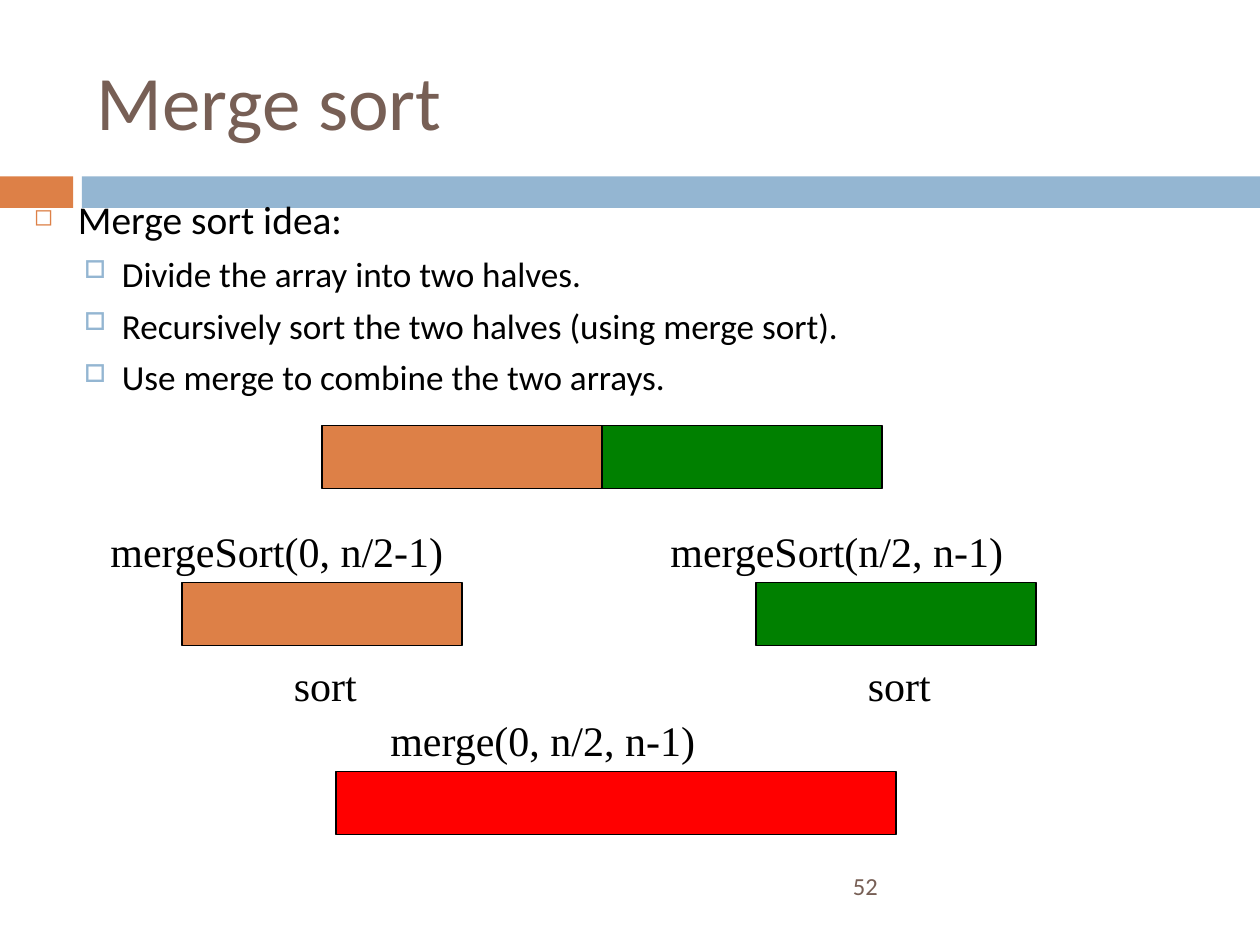
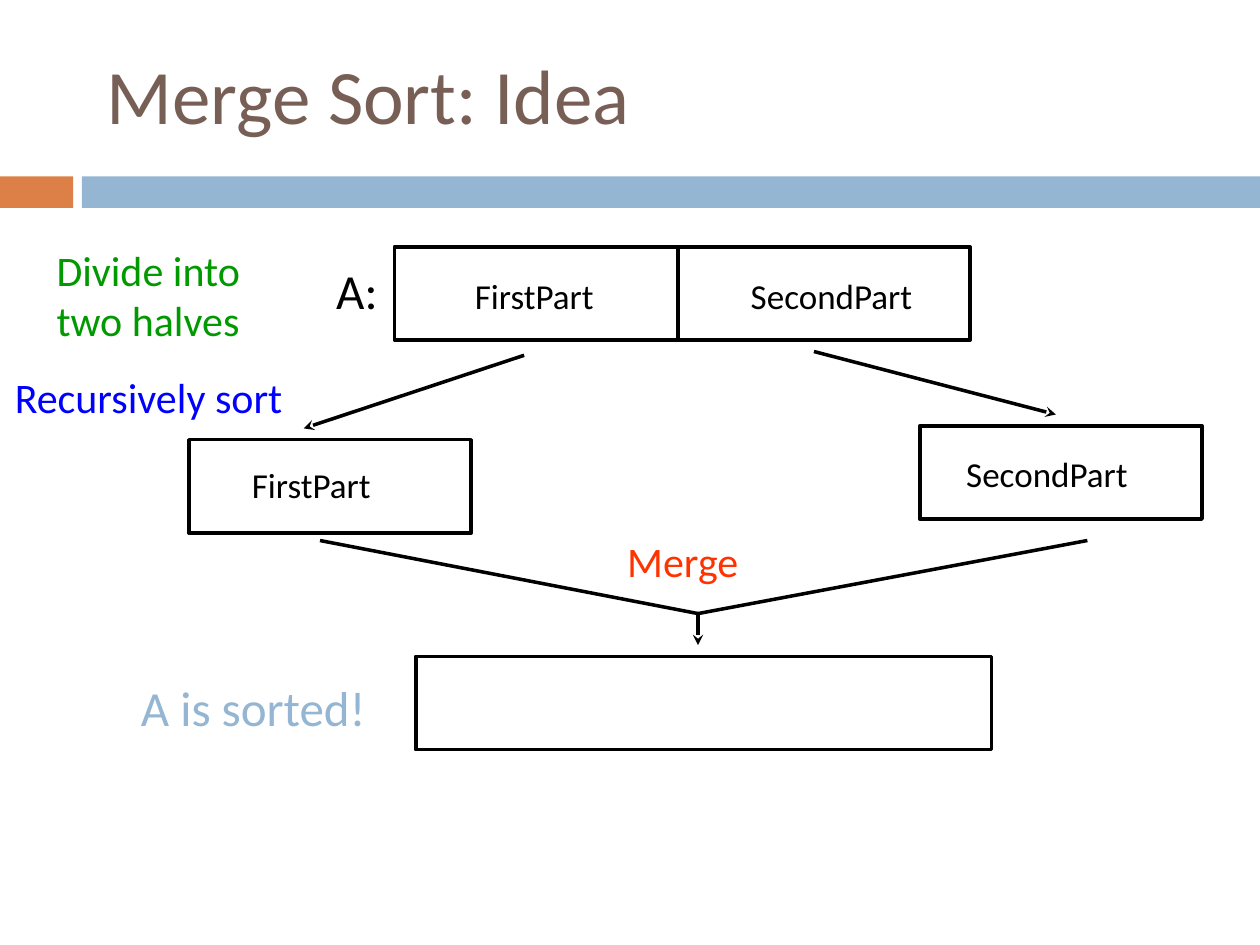
from dataclasses import dataclass
from lxml.etree import SubElement
from pptx import Presentation
from pptx.dml.color import RGBColor
from pptx.enum.shapes import MSO_CONNECTOR as Connector, MSO_SHAPE as Shape
from pptx.enum.text import MSO_ANCHOR as Anchor, MSO_AUTO_SIZE as AutoSize, PP_ALIGN as Align
from pptx.oxml.ns import qn
from pptx.util import Inches, Pt

WIDTH, HEIGHT = Inches(10), Inches(7.5)


@dataclass(frozen=True)
class Theme:
    sans: str = "Calibri"
    serif: str = "Times New Roman"
    ink: str = "000000"
    title: str = "775F55"
    orange: str = "DD8047"
    blue: str = "94B6D2"
    green: str = "008000"
    red: str = "FF0000"
    divide: str = "009900"
    recurse: str = "0000FF"
    merge: str = "FF3300"
    title_size: float = 44
    big_size: float = 28
    label_size: float = 24
    part_size: float = 20
    number_size: float = 14
    thin: float = 0.75
    thick: float = 2


@dataclass(frozen=True)
class Level:
    size: float
    left: float
    hang: float
    before: float
    mark: str
    color: str
    percent: int


THEME = Theme()
LEVELS = [
    Level(22.5, 0.35, 0.35, 7, "◻", THEME.orange, 60),
    Level(20.1, 0.7, 0.3, 5.5, "□", THEME.blue, 70),
]

INCH_GRID = (10, 7.5)
CODE_GRID = (90, 60)
IDEA_GRID = (100, 75)

BANDS = [((0, 1.4, 0.58, 0.25), THEME.orange), ((0.65, 1.4, 9.35, 0.25), THEME.blue)]

OUTLINE = [
    (0, "Merge sort idea:"),
    (1, "Divide the array into two halves."),
    (1, "Recursively sort the two halves (using merge sort)."),
    (1, "Use merge to combine the two arrays."),
]

HALF, BAR = 20, 4
CODE_BARS = [
    (23, 27, HALF, THEME.orange),
    (23 + HALF, 27, HALF, THEME.green),
    (13, 37, HALF, THEME.orange),
    (54, 37, HALF, THEME.green),
    (24, 49, 2 * HALF, THEME.red),
]
CODE_LABELS = [
    ("mergeSort(0, n/2-1)", 7, 33, 25.65),
    ("mergeSort(n/2, n-1)", 47, 33, 25.65),
    ("sort", 20.1, 41.5, 6.3),
    ("sort", 61.1, 41.5, 6.3),
    ("merge(0, n/2, n-1)", 27, 45, 23.6),
]

WHOLE, PART, CELL = 45.7, 22.4, 7.4
IDEA_BOXES = [(31.3, 19.6, WHOLE), (15, 34.9, PART), (73, 33.8, PART), (33, 52.1, WHOLE)]
JOIN = (55.4, 48.7)
IDEA_LINES = [
    ((53.8, 19.5), (53.8, 27), False),
    ((41.6, 28.2), (24.1, 34), True),
    ((64.6, 27.9), (83.8, 32.9), True),
    ((25.4, 42.9), JOIN, False),
    ((86.3, 42.9), JOIN, False),
    (JOIN, (55.4, 51.2), True),
]
IDEA_LABELS = [
    (["Divide into", "two halves"], (3.5, 18.9, 18.8, 9), THEME.label_size, THEME.divide),
    (["A:"], (25.7, 20.2, 5.5, 5.7), THEME.big_size, THEME.ink),
    (["FirstPart"], (36.7, 21.3, 13, 4.4), THEME.part_size, THEME.ink),
    (["SecondPart"], (58.6, 21.3, 16.9, 4.4), THEME.part_size, THEME.ink),
    (["FirstPart"], (19, 36.3, 13, 4.4), THEME.part_size, THEME.ink),
    (["SecondPart"], (75.7, 35.4, 16.9, 4.4), THEME.part_size, THEME.ink),
    (["Merge"], (48.8, 42, 15, 5), THEME.label_size, THEME.merge),
    (["A is sorted!"], (10.2, 53.3, 22.2, 5.7), THEME.big_size, THEME.blue),
]


def place(grid, lengths):
    units = (WIDTH / grid[0], HEIGHT / grid[1])
    return [round(length * units[index % 2]) for index, length in enumerate(lengths)]


def add_box(page, grid, at, fill=None, line=None):
    box = page.shapes.add_shape(Shape.RECTANGLE, *place(grid, at))
    box.shadow.inherit = False
    if fill:
        box.fill.solid()
        box.fill.fore_color.rgb = RGBColor.from_string(fill)
    else:
        box.fill.background()
    if line:
        box.line.color.rgb = RGBColor.from_string(THEME.ink)
        box.line.width = Pt(line)
    else:
        box.line.fill.background()


def style(para, size, color, font=THEME.sans):
    for span in para.runs:
        span.font.name = font
        span.font.size = Pt(size)
        span.font.color.rgb = RGBColor.from_string(color)


def add_text(page, grid, at, lines, size, color, font=THEME.sans, wrap=True, anchor=Anchor.TOP):
    box = page.shapes.add_textbox(*place(grid, at))
    frame = box.text_frame
    frame.text = "\n".join(lines)
    frame.word_wrap = wrap
    frame.auto_size = AutoSize.NONE if wrap else AutoSize.SHAPE_TO_FIT_TEXT
    frame.vertical_anchor = anchor
    for para in frame.paragraphs:
        style(para, size, color, font)
    return frame


def add_bullet(para, level):
    props = para._p.get_or_add_pPr()
    props.set("marL", str(Inches(level.left)))
    props.set("indent", str(-Inches(level.hang)))
    para.space_before = Pt(level.before)
    color = SubElement(props, qn("a:buClr"))
    SubElement(color, qn("a:srgbClr"), val=level.color)
    SubElement(props, qn("a:buSzPct"), val=str(level.percent * 1000))
    SubElement(props, qn("a:buChar"), char=level.mark)


def add_line(page, grid, start, end, arrow):
    line = page.shapes.add_connector(Connector.STRAIGHT, *place(grid, start + end))
    line.line.color.rgb = RGBColor.from_string(THEME.ink)
    line.line.width = Pt(THEME.thick)
    if arrow:
        SubElement(line.line._get_or_add_ln(), qn("a:tailEnd"), type="stealth")
    SubElement(line._element.spPr, qn("a:effectLst"))


def add_page(deck, title, at):
    page = deck.slides.add_slide(deck.slide_layouts[6])
    for band, color in BANDS:
        add_box(page, INCH_GRID, band, color)
    add_text(page, INCH_GRID, at, [title], THEME.title_size, THEME.title, anchor=Anchor.MIDDLE)
    return page


def build_code_page(deck):
    page = add_page(deck, "Merge sort", (0.67, 0.25, 8.92, 1.08))
    add_text(page, INCH_GRID, (6.67, 6.83, 2.92, 0.4), ["52"],
             THEME.number_size, THEME.title, anchor=Anchor.MIDDLE)
    frame = add_text(page, INCH_GRID, (0.17, 1.5, 9, 1.75),
                     [text for _, text in OUTLINE], LEVELS[0].size, THEME.ink)
    for para, (depth, _) in zip(frame.paragraphs, OUTLINE):
        para.level = depth
        style(para, LEVELS[depth].size, THEME.ink)
        add_bullet(para, LEVELS[depth])
    for left, top, width, fill in CODE_BARS:
        add_box(page, CODE_GRID, (left, top, width, BAR), fill, THEME.thin)
    for text, left, top, width in CODE_LABELS:
        add_text(page, CODE_GRID, (left, top, width, BAR), [text],
                 THEME.label_size, THEME.ink, THEME.serif, wrap=False)


def build_idea_page(deck):
    page = add_page(deck, "Merge Sort: Idea", (0.75, 0.24, 8.5, 1.01))
    for left, top, width in IDEA_BOXES:
        add_box(page, IDEA_GRID, (left, top, width, CELL), line=THEME.thick)
    for start, end, arrow in IDEA_LINES:
        add_line(page, IDEA_GRID, start, end, arrow)
    for lines, at, size, color in IDEA_LABELS:
        add_text(page, IDEA_GRID, at, lines, size, color, wrap=lines == ["Merge"])
    frame = add_text(page, IDEA_GRID, (1.1, 29, 21.4, 9), ["Recursively sort"],
                     THEME.label_size, THEME.recurse)
    frame.margin_left = frame.margin_right = 0
    frame.paragraphs[0].alignment = Align.CENTER


def main():
    deck = Presentation()
    deck.slide_width, deck.slide_height = WIDTH, HEIGHT
    build_code_page(deck)
    build_idea_page(deck)
    deck.save("out.pptx")


if __name__ == "__main__":
    main()
